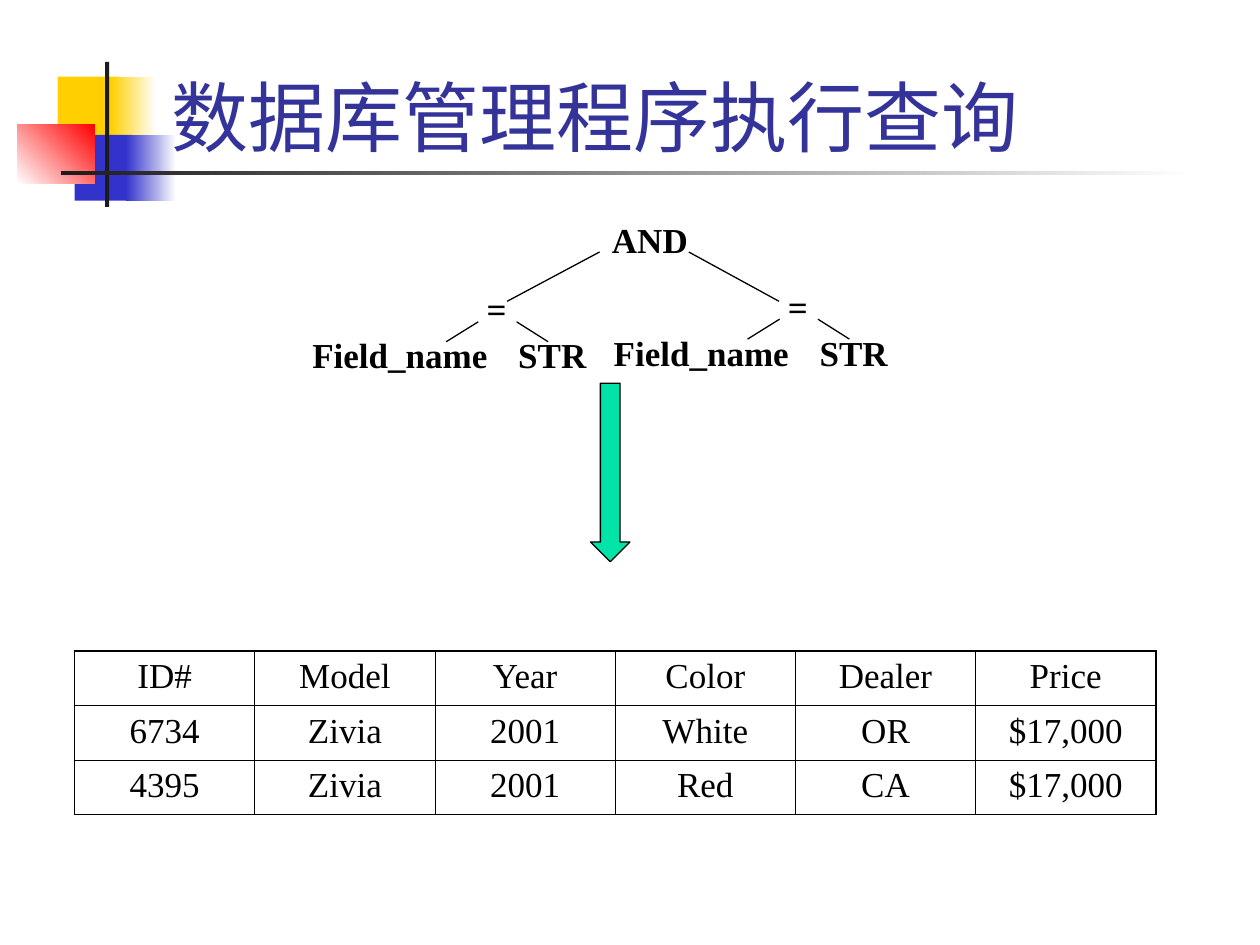
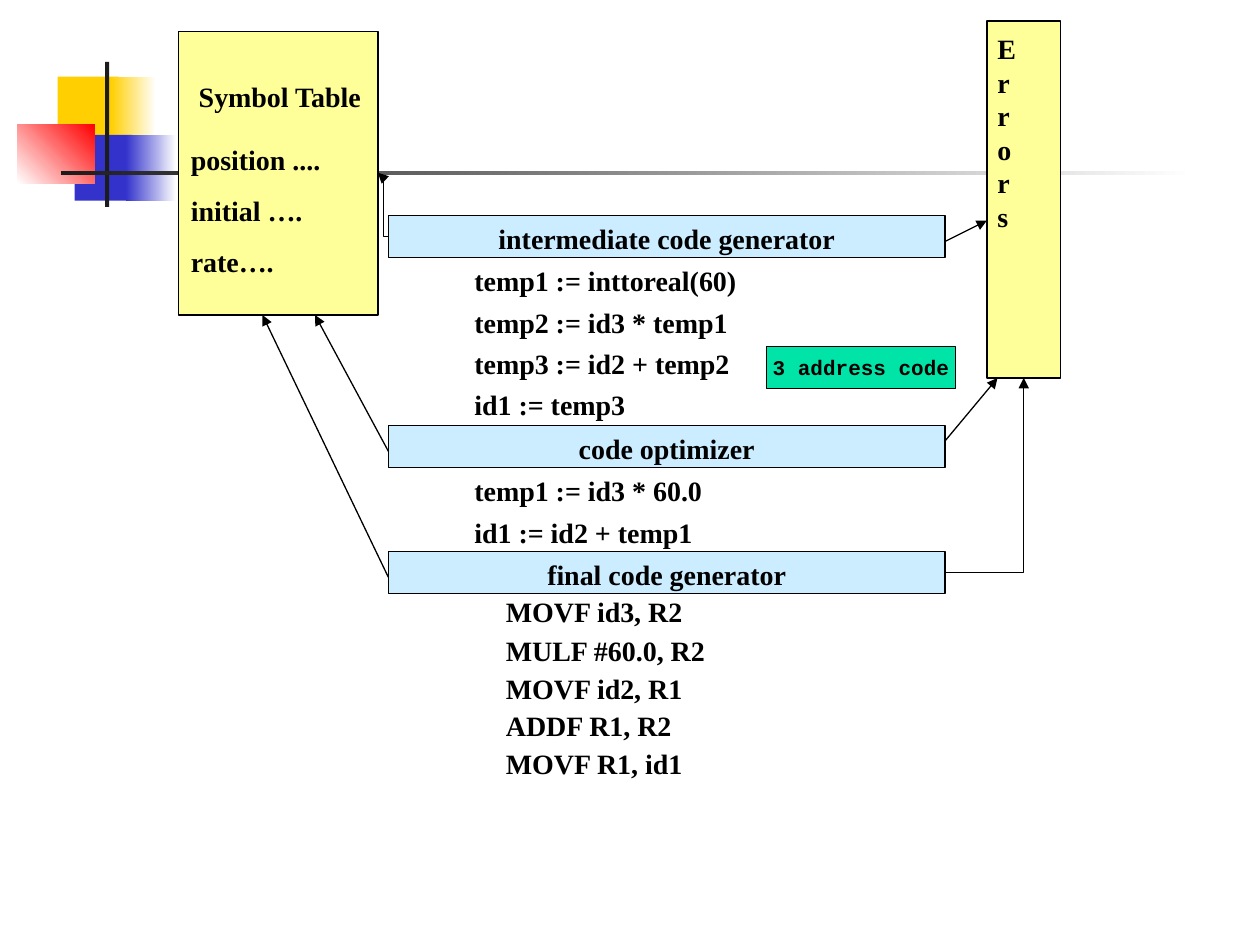
from lxml.etree import SubElement
from pptx import Presentation
from pptx.dml.color import RGBColor
from pptx.enum.shapes import MSO_CONNECTOR as LINK, MSO_SHAPE as SHAPE
from pptx.enum.text import MSO_ANCHOR as ANCHOR, MSO_AUTO_SIZE as FIT, PP_ALIGN as ALIGN
from pptx.oxml.ns import qn
from pptx.util import Inches, Pt

COLS, ROWS = 120, 90
BLACK, WHITE, DARK = "000000", "FFFFFF", "1C1C1C"
GOLD, BLUE, RED, NAVY = "FFCF01", "3333CC", "FF0000", "333399"
GREEN, YELLOW, SKY = "00E4A8", "FFFF99", "CCECFF"
SERIF, MONO = "Times New Roman", "Courier New"


def color(value):
    return RGBColor.from_string(value)


class Deck:
    def __init__(self):
        self.prs = Presentation()
        self.prs.slide_width, self.prs.slide_height = Inches(10), Inches(7.5)
        self.slide = None

    def x(self, cols):
        return round(self.prs.slide_width * cols / COLS)

    def y(self, rows):
        return round(self.prs.slide_height * rows / ROWS)

    def box(self, left, top, width, height):
        return self.x(left), self.y(top), self.x(width), self.y(height)

    def new_slide(self, layout):
        self.slide = self.prs.slides.add_slide(self.prs.slide_layouts[layout])

    def style(self, p, size, name=SERIF, rgb=BLACK, bold=True):
        for r in p.runs:
            r.font.size, r.font.name, r.font.bold = Pt(size), name, bold
            r.font.color.rgb = color(rgb)

    def title(self, text):
        sp = self.slide.shapes.title
        sp.left, sp.top, sp.width, sp.height = self.box(15.1, 1, 102.2, 15)
        tf = sp.text_frame
        tf.text = text
        tf.auto_size, tf.vertical_anchor = FIT.NONE, ANCHOR.BOTTOM
        tf.paragraphs[0].alignment = ALIGN.LEFT
        self.style(tf.paragraphs[0], 44, rgb=NAVY, bold=False)

    def shape(self, at, fill, kind=SHAPE.RECTANGLE, line=0.75):
        sp = self.slide.shapes.add_shape(kind, *self.box(*at))
        sp.shadow.inherit = False
        sp.fill.solid()
        sp.fill.fore_color.rgb = color(fill)
        if line:
            sp.line.color.rgb = color(BLACK)
            sp.line.width = Pt(line)
        else:
            sp.line.fill.background()
        return sp

    def fade(self, at, start, end, angle=0):
        sp = self.shape(at, start, line=0)
        sp.fill.gradient()
        sp.fill.gradient_angle = angle
        for stop, value in zip(sp.fill.gradient_stops, (start, end)):
            stop.color.rgb = color(value)
        return sp

    def master_art(self):
        art = [
            self.shape((5.5, 7.3, 5.8, 6.25), GOLD, line=0),
            self.fade((10.55, 7.3, 4.3, 6.25), GOLD, WHITE),
            self.shape((7.1, 12.85, 5.5, 6.25), BLUE, line=0),
            self.fade((12, 12.85, 4.8, 6.25), BLUE, WHITE),
            self.fade((1.65, 11.85, 7.4, 5.6), WHITE, RED, 45),
            self.shape((10, 5.9, 0.4, 13.8), DARK, line=0),
            self.fade((5.8, 16.3, 108, 0.4), DARK, WHITE),
        ]
        for sp in art:
            self.prs.slide_master.shapes._spTree.append(sp._element)

    def text(self, at, lines, size=16, before=10, align=ALIGN.LEFT, spacing=None,
             wrap=True, margins=(0.1, 0.05)):
        tf = self.slide.shapes.add_textbox(*self.box(*at)).text_frame
        tf.text = "\n".join(lines)
        tf.word_wrap, tf.auto_size = wrap, FIT.SHAPE_TO_FIT_TEXT
        tf.margin_left, tf.margin_top = (Inches(m) for m in margins)
        for i, p in enumerate(tf.paragraphs):
            p.alignment, p.space_before = align, Pt(before)
            if i and spacing:
                p.line_spacing = spacing
            self.style(p, size)

    def line(self, start, end, arrow=False, bend=None):
        kind = LINK.ELBOW if bend else LINK.STRAIGHT
        sp = self.slide.shapes.add_connector(
            kind, self.x(start[0]), self.y(start[1]), self.x(end[0]), self.y(end[1]))
        sp.line.color.rgb = color(BLACK)
        sp.line.width = Pt(0.75)
        props = sp._element.spPr
        if bend:
            props.find(qn("a:prstGeom")).set("prst", bend)
        if arrow:
            SubElement(props.find(qn("a:ln")), qn("a:tailEnd"), type="triangle")
        SubElement(props, qn("a:effectLst"))

    def node(self, left, top, width, text):
        self.text((left, top, width, 5.25), [text], 20, 12.5, ALIGN.CENTER)

    def comparison(self, left, top):
        self.node(left - 15.5, top + 4.4, 20.6, "Field_name")
        self.node(left, top, 8, "=")
        self.node(left + 4.2, top + 4.4, 10.2, "STR")
        for start, end in ((2.25, -0.8), (5.9, 8.9)):
            self.line((left + start, top + 3.85), (left + end, top + 5.75))

    def band(self, top, text):
        self.shape((37, top, 53, 4), SKY)
        self.text((39, top, 49, 4.4), [text], align=ALIGN.CENTER)

    def borders(self, cell, widths):
        props = cell._tc.get_or_add_tcPr()
        for i, (side, width) in enumerate(zip("LRTB", widths)):
            ln = SubElement(props, qn(f"a:ln{side}"), w=str(Pt(width)))
            SubElement(SubElement(ln, qn("a:solidFill")), qn("a:srgbClr"), val=BLACK)
            props.insert(i, ln)

    def table(self, at, rows):
        last = len(rows[0]) - 1
        table = self.slide.shapes.add_table(len(rows), last + 1, *self.box(*at)).table
        table.first_row = table.horz_banding = False
        for i, row in enumerate(rows):
            for j, value in enumerate(row):
                cell = table.cell(i, j)
                cell.text = value
                cell.fill.background()
                p = cell.text_frame.paragraphs[0]
                p.alignment, p.space_before = ALIGN.CENTER, Pt(5)
                self.style(p, 20, bold=False)
                outer = (j == 0, j == last, i == 0, False)
                self.borders(cell, [1.08 if edge else 0.45 for edge in outer])


def query_slide(deck):
    deck.title("数据库管理程序执行查询")
    deck.shape((56.25, 36.5, 3.75, 17), GREEN, SHAPE.DOWN_ARROW)
    deck.table((7.1, 62, 103, 15.6), [
        ("ID#", "Model", "Year", "Color", "Dealer", "Price"),
        ("6734", "Zivia", "2001", "White", "OR", "$17,000"),
        ("4395", "Zivia", "2001", "Red", "CA", "$17,000"),
    ])
    deck.node(56.25, 20.2, 11.3, "AND")
    deck.line((57.1, 24), (48.3, 28.7))
    deck.line((65.6, 24), (74.2, 28.7))
    deck.comparison(43.3, 26.8)
    deck.comparison(72, 26.55)


def compiler_slide(deck):
    deck.shape((94, 2, 7, 34), YELLOW)
    deck.text((95, 3, 2.4, 19.8), ["Errors"], margins=(0, 0))
    for top, stage in ((20.5, "intermediate code generator"),
                       (40.5, "code optimizer"),
                       (52.5, "final code generator")):
        deck.band(top, stage)
    deck.text((44, 24.5, 44, 16.2), [
        "temp1 := inttoreal(60)", "temp2 := id3 * temp1",
        "temp3 := id2 + temp2", "id1 := temp3"], spacing=0.7)
    deck.text((44, 44.5, 44, 8.3),
              ["temp1 := id3 * 60.0", "id1 := id2 + temp1"], spacing=0.7)
    deck.text((47, 56, 28, 18.7), [
        "MOVF id3, R2", "MULF #60.0, R2", "MOVF id2, R1",
        "ADDF R1, R2", "MOVF R1, id1"], spacing=0.6)

    deck.shape((17, 3, 19, 27), YELLOW)
    deck.text((17, 13, 19, 14.2), ["position ....", "initial ….", "rate…."])
    deck.text((17.6, 7, 18.1, 4.4), ["Symbol Table"], align=ALIGN.CENTER, wrap=False)

    deck.line((37, 22.5), (36, 16.45), True, "bentConnector3")
    deck.line((90, 54.5), (97.5, 36), True, "bentConnector2")
    for start, end in (((37, 43), (30, 30)), ((37, 55), (25, 30)),
                       ((90, 42), (95, 36)), ((90, 23), (94, 21))):
        deck.line(start, end, True)

    tf = deck.shape((73, 33, 18, 4), GREEN, line=1).text_frame
    tf.text = "3 address code"
    tf.word_wrap, tf.vertical_anchor = False, ANCHOR.MIDDLE
    tf.paragraphs[0].alignment = ALIGN.CENTER
    deck.style(tf.paragraphs[0], 12, MONO)


def main():
    deck = Deck()
    deck.new_slide(5)
    deck.master_art()
    query_slide(deck)
    deck.new_slide(6)
    compiler_slide(deck)
    deck.prs.save("out.pptx")


if __name__ == "__main__":
    main()
